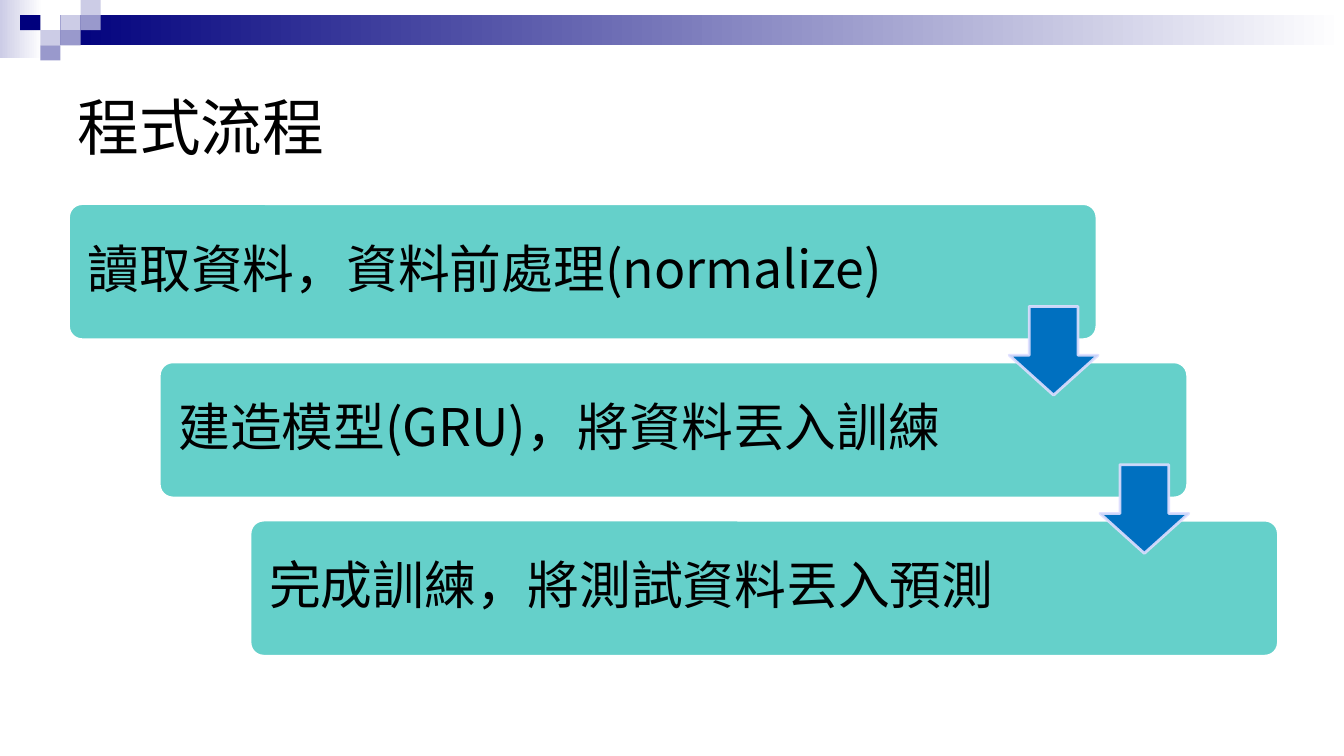
from pptx import Presentation
from pptx.dml.color import RGBColor
from pptx.enum.shapes import MSO_SHAPE
from pptx.enum.text import MSO_ANCHOR, PP_ALIGN
from pptx.oxml.ns import qn
from pptx.util import Inches, Pt
from lxml.etree import SubElement

BLACK = RGBColor(0x00, 0x00, 0x00)
WHITE = RGBColor(0xFF, 0xFF, 0xFF)
NAVY = RGBColor(0x00, 0x00, 0x7D)
LILAC = RGBColor(0xCC, 0xCC, 0xE6)
MAUVE = RGBColor(0x99, 0x99, 0xCC)
TEAL = RGBColor(0x65, 0xD0, 0xCA)
BLUE = RGBColor(0x00, 0x70, 0xC0)
PALE = RGBColor(0xDE, 0xDE, 0xFF)

STEPS = [
    ["讀取資料，資料前處理", "(normalize)"],
    ["建造模型", "(GRU)", "，將資料丟入訓練"],
    ["完成訓練，將測試資料丟入預測"],
]
TILES = [
    (0.6, 0.15, LILAC),
    (0.8, 0, LILAC),
    (0.8, 0.15, MAUVE),
    (0.4, 0.3, LILAC),
    (0.2, 0.15, NAVY),
    (0.6, 0.3, MAUVE),
    (0.4, 0.45, MAUVE),
]
STEP_X, STEP_Y = 0.9, 1.57


def add_box(slide, kind, x, y, w, h, color=None):
    """Add a preset shape without shadow or outline."""
    box = slide.shapes.add_shape(kind, Inches(x), Inches(y), Inches(w), Inches(h))
    box.shadow.inherit = False
    box.line.fill.background()
    if color is not None:
        box.fill.solid()
        box.fill.fore_color.rgb = color
    return box


def add_fade(slide, x, y, w, h, color):
    """Add a bar that fades from color to white, left to right."""
    bar = add_box(slide, MSO_SHAPE.RECTANGLE, x, y, w, h)
    bar.fill.gradient()
    bar.fill.gradient_angle = 0
    for stop, tone in zip(bar.fill.gradient_stops, (color, WHITE)):
        stop.color.rgb = tone


def add_run(para, text, size, font):
    run = para.add_run()
    run.text = text
    run.font.size = Pt(size)
    run.font.name = font
    run.font.color.rgb = BLACK
    east = SubElement(run.font._element, qn("a:ea"))
    east.set("typeface", font)


def set_line(shape, color):
    shape.line.color.rgb = color
    shape.line.width = Pt(2)


def add_step(slide, x, y, parts):
    box = add_box(slide, MSO_SHAPE.ROUNDED_RECTANGLE, x, y, 10.2, 1.35, TEAL)
    box.adjustments[0] = 0.1
    set_line(box, WHITE)
    frame = box.text_frame
    frame.word_wrap = True
    frame.vertical_anchor = MSO_ANCHOR.MIDDLE
    frame.margin_left = frame.margin_right = Inches(0.15)
    para = frame.paragraphs[0]
    para.alignment = PP_ALIGN.LEFT
    para.line_spacing = 0.9
    for part in parts:
        add_run(para, part, 37, "Noto Sans CJK SC")


def add_arrow(slide, x, y):
    arrow = add_box(slide, MSO_SHAPE.DOWN_ARROW, x, y, 0.88, 0.88, BLUE)
    arrow.adjustments[0] = 0.55
    arrow.adjustments[1] = 0.45
    set_line(arrow, PALE)
    tone = arrow.line._ln.find(".//" + qn("a:srgbClr"))
    SubElement(tone, qn("a:alpha")).set("val", "90000")


def set_title(slide, text):
    title = slide.shapes.title
    title.left, title.top = Inches(0.67), Inches(0.5)
    title.width, title.height = Inches(12), Inches(1.5)
    title.text_frame.vertical_anchor = MSO_ANCHOR.MIDDLE
    para = title.text_frame.paragraphs[0]
    para.alignment = PP_ALIGN.LEFT
    add_run(para, text, 44, "Arial")


def main():
    deck = Presentation()
    deck.slide_width, deck.slide_height = Inches(13.33), Inches(7.5)
    slide = deck.slides.add_slide(deck.slide_layouts[5])

    add_fade(slide, 0, 0, 0.42, 0.58, LILAC)
    add_fade(slide, 0.6, 0.15, 12.73, 0.3, NAVY)
    for x, y, color in TILES:
        add_box(slide, MSO_SHAPE.RECTANGLE, x, y, 0.2, 0.15, color)

    set_title(slide, "程式流程")
    for i, parts in enumerate(STEPS):
        add_step(slide, 0.68 + i * STEP_X, 2.02 + i * STEP_Y, parts)
    for i in range(len(STEPS) - 1):
        add_arrow(slide, 10.01 + i * STEP_X, 3.04 + i * STEP_Y)

    deck.save("out.pptx")


if __name__ == "__main__":
    main()
